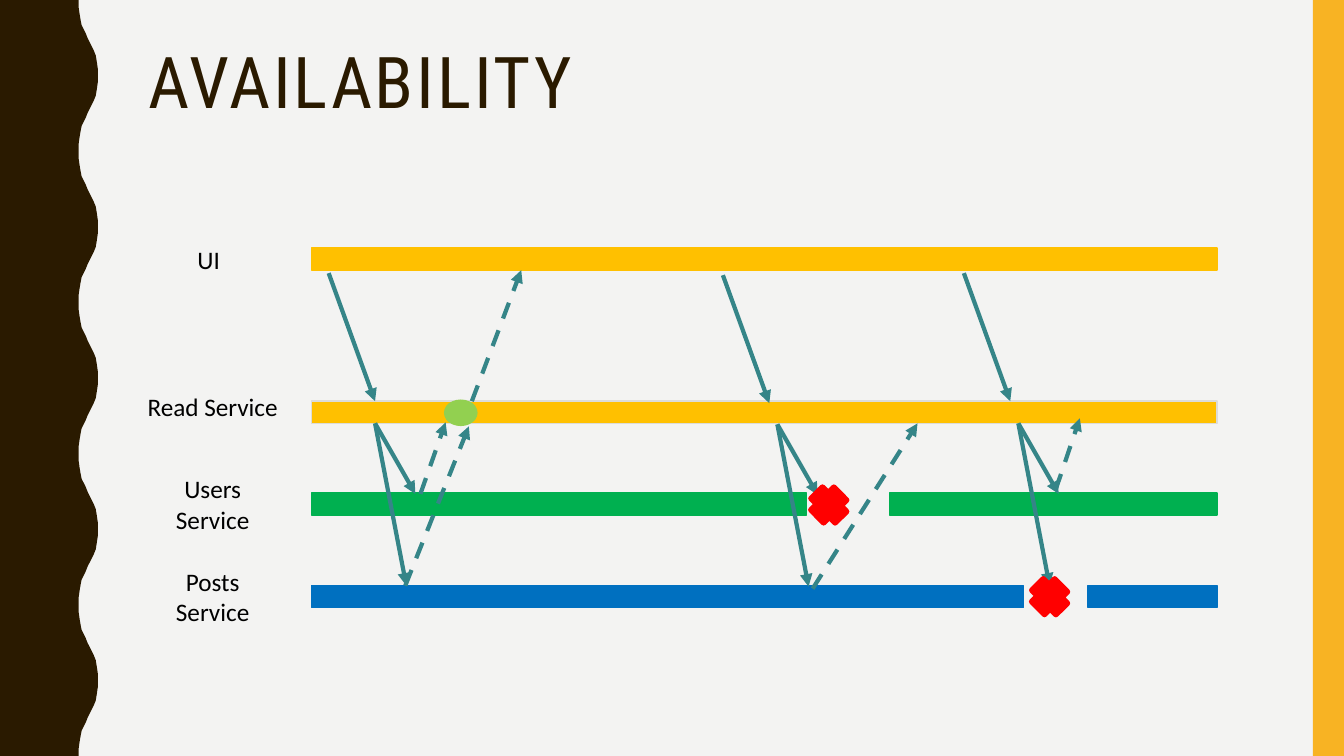
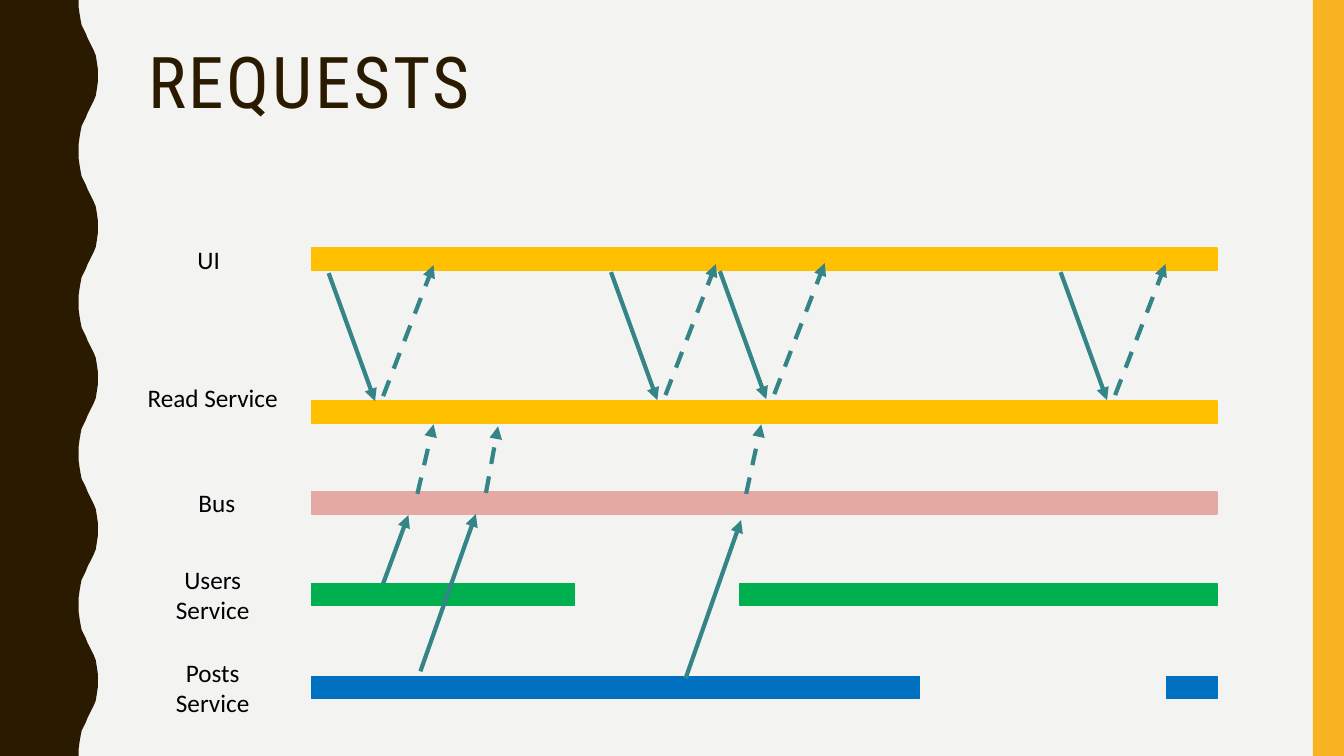
from dataclasses import dataclass
from typing import Optional

from lxml.etree import SubElement
from pptx import Presentation
from pptx.dml.color import RGBColor
from pptx.enum.dml import MSO_LINE
from pptx.enum.shapes import MSO_CONNECTOR, MSO_SHAPE
from pptx.enum.text import PP_ALIGN
from pptx.oxml.ns import qn
from pptx.util import Pt

PX = 9144  # EMU per px, 100 px to the inch
PAGE_WIDTH, PAGE_HEIGHT = 1333, 750

BACKGROUND = RGBColor(0xF3, 0xF3, 0xF2)
BROWN = RGBColor(0x2A, 0x1A, 0x00)
AMBER = RGBColor(0xF8, 0xB3, 0x23)
GOLD = RGBColor(0xFF, 0xC0, 0x00)
GREEN = RGBColor(0x00, 0xB0, 0x50)
BLUE = RGBColor(0x00, 0x70, 0xC0)
PINK = RGBColor(0xE5, 0xA9, 0xA4)
LIME = RGBColor(0x92, 0xD0, 0x50)
RED = RGBColor(0xFF, 0x00, 0x00)
TEAL = RGBColor(0x35, 0x85, 0x88)
PALE_GREY = RGBColor(0xDC, 0xDC, 0xD9)
BLACK = RGBColor(0x00, 0x00, 0x00)

TITLE_FONT, LABEL_FONT = "Roboto Condensed", "Calibri"

BAR_LEFT, BAR_RIGHT, BAR_HEIGHT = 309, 1207, 22
LABEL_WIDTH, LABEL_PADDING, LABEL_LINE = 170, 10, 30

WAVE_PERIOD = 150
HALF_WAVE = [(78, 0), (78, 7), (79, 14), (80, 20), (81, 25), (83, 29), (85, 33), (87, 38),
             (89, 42), (91, 46), (93, 50), (95, 55), (96, 61), (97, 68), (97, 75)]


@dataclass
class Lane:
    """A labelled timeline; gap is the (start, end) of an outage."""
    text: str
    top: int
    colour: RGBColor
    label_center: int = 211
    label_lift: int = 0
    gap: Optional[tuple] = None
    outline: Optional[RGBColor] = None


def paint(shape, fill, outline=None, weight=1):
    shape.shadow.inherit = False
    shape.fill.solid()
    shape.fill.fore_color.rgb = fill
    if outline is None:
        shape.line.fill.background()
    else:
        shape.line.color.rgb = outline
        shape.line.width = Pt(weight)


def add_block(page, kind, left, top, width, height, fill, outline=None, weight=1):
    block = page.shapes.add_shape(kind, left * PX, top * PX, width * PX, height * PX)
    paint(block, fill, outline, weight)
    return block


def add_text(page, text, left, top, width, height, font, size, colour):
    box = page.shapes.add_textbox(left * PX, top * PX, width * PX, height * PX)
    box.text_frame.word_wrap = True
    box.text_frame.text = text
    for para in box.text_frame.paragraphs:
        for span in para.runs:
            span.font.name = font
            span.font.size = Pt(size)
            span.font.color.rgb = colour
    return box


def add_wavy_edge(page):
    wave = HALF_WAVE + [(x, WAVE_PERIOD - y) for x, y in reversed(HALF_WAVE[:-1])]
    outline = [(x, start + y) for start in range(0, PAGE_HEIGHT, WAVE_PERIOD) for x, y in wave]
    builder = page.shapes.build_freeform(0, 0, scale=PX)
    builder.add_line_segments(outline + [(0, PAGE_HEIGHT)], close=True)
    paint(builder.convert_to_shape(), BROWN)


def add_title(page, text):
    box = add_text(page, text, 137, 42, 1113, 163, TITLE_FONT, 51, BROWN)
    para = box.text_frame.paragraphs[0]
    para.line_spacing = 0.9
    para.runs[0].font._element.set("spc", "200")


def add_page(deck, title):
    page = deck.slides.add_slide(deck.slide_layouts[6])
    add_wavy_edge(page)
    add_block(page, MSO_SHAPE.RECTANGLE, 1302, 0, PAGE_WIDTH - 1302, PAGE_HEIGHT, AMBER)
    add_title(page, title)
    return page


def add_lane(page, lane):
    stops = [BAR_LEFT, *(lane.gap or ()), BAR_RIGHT]
    for start, end in zip(stops[::2], stops[1::2]):
        add_block(page, MSO_SHAPE.RECTANGLE, start, lane.top, end - start, BAR_HEIGHT,
                  lane.colour, lane.outline or lane.colour)
    height = LABEL_PADDING + LABEL_LINE * len(lane.text.splitlines())
    top = lane.top + (BAR_HEIGHT - height) // 2 - lane.label_lift
    label = add_text(page, lane.text, lane.label_center - LABEL_WIDTH // 2, top,
                     LABEL_WIDTH, height, LABEL_FONT, 18, BLACK)
    for para in label.text_frame.paragraphs:
        para.alignment = PP_ALIGN.CENTER


def add_arrow(page, start_x, start_y, end_x, end_y, dashed=False):
    arrow = page.shapes.add_connector(MSO_CONNECTOR.STRAIGHT, start_x * PX, start_y * PX,
                                      end_x * PX, end_y * PX)
    arrow.line.color.rgb = TEAL
    arrow.line.width = Pt(3)
    if dashed:
        arrow.line.dash_style = MSO_LINE.DASH
    SubElement(arrow.line._get_or_add_ln(), qn("a:tailEnd"), type="triangle")
    SubElement(arrow._element.spPr, qn("a:effectLst"))


def add_request(page, x, y):
    """Arrow from the UI lane down to the Read Service lane."""
    add_arrow(page, x, y, x + 46, y + 127)


def add_fan_out(page, x, y):
    """Arrows from the Read Service lane to the posts and users lanes."""
    add_arrow(page, x, y, x + 31, y + 161)
    add_arrow(page, x, y, x + 40, y + 70)


def add_round_trip(page, x, y):
    add_request(page, x, y)
    add_arrow(page, x + 54, y + 122, x + 104, y - 8, dashed=True)


def add_failure(page, left, top):
    cross = add_block(page, MSO_SHAPE.CROSS, left, top, 34, 32, RED, RED, 4)
    cross.rotation = 45.4


def build_availability(deck):
    page = add_page(deck, "AVAILABILITY")
    for lane in (
        Lane("UI", 246, GOLD, label_center=207),
        Lane("Read Service", 398, GOLD, label_lift=6, outline=PALE_GREY),
        Lane("Users\nService", 489, GREEN, gap=(800, 882)),
        Lane("Posts\nService", 581, BLUE, gap=(1015, 1079)),
    ):
        add_lane(page, lane)
    for x, y in ((326, 271), (717, 273), (956, 271)):
        add_request(page, x, y)
    for x, y in ((372, 420), (771, 421), (1010, 420)):
        add_fan_out(page, x, y)
    for reply in ((402, 581, 465, 423), (417, 490, 442, 419), (468, 398, 517, 268),
                  (806, 584, 910, 420), (1047, 486, 1071, 415)):
        add_arrow(page, *reply, dashed=True)
    add_block(page, MSO_SHAPE.OVAL, 441, 397, 32, 25, LIME, LIME)
    add_failure(page, 805, 485)
    add_failure(page, 1024, 576)


def build_requests(deck):
    page = add_page(deck, "REQUESTS")
    for lane in (
        Lane("UI", 246, GOLD, label_center=207),
        Lane("Read Service", 398, GOLD, label_lift=15),
        Lane("Bus", 488, PINK, label_center=215),
        Lane("Users\nService", 579, GREEN, gap=(570, 734)),
        Lane("Posts\nService", 671, BLUE, gap=(912, 1157)),
    ):
        add_lane(page, lane)
    for x, y in ((326, 271), (606, 270), (714, 269), (1052, 270)):
        add_round_trip(page, x, y)
    for published in ((380, 579, 405, 511), (417, 666, 472, 510), (680, 673, 735, 516)):
        add_arrow(page, *published)
    for delivered in ((414, 490, 430, 421), (482, 489, 494, 423), (740, 490, 755, 421)):
        add_arrow(page, *delivered, dashed=True)


def main():
    deck = Presentation()
    deck.slide_width, deck.slide_height = PAGE_WIDTH * PX, PAGE_HEIGHT * PX
    backdrop = deck.slide_master.background.fill
    backdrop.solid()
    backdrop.fore_color.rgb = BACKGROUND
    build_availability(deck)
    build_requests(deck)
    deck.save("out.pptx")


if __name__ == "__main__":
    main()
